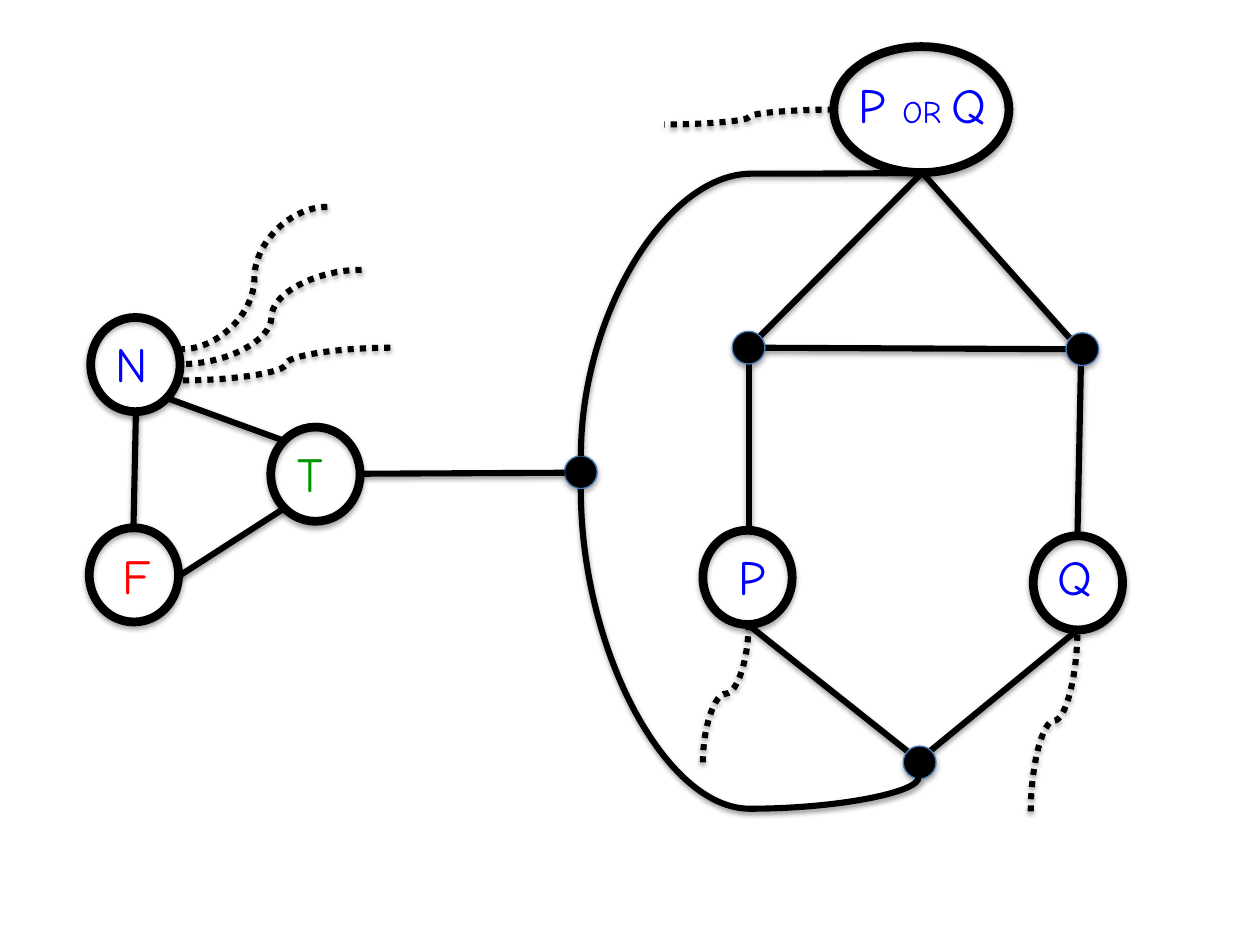
import pptx
import pptx.util
import pptx.dml.color
import pptx.enum.dml
import pptx.enum.shapes
import pptx.enum.text
import pptx.oxml.ns
from lxml import etree

Cm, Pt = pptx.util.Cm, pptx.util.Pt
LINK = pptx.enum.shapes.MSO_CONNECTOR
OVAL = pptx.enum.shapes.MSO_SHAPE.OVAL
DOTS = pptx.enum.dml.MSO_LINE.ROUND_DOT
INK, BLUE, RED, GREEN = "000000", "0000FF", "FF0000", "009600"
TEXT = {
    "word_wrap": False,
    "auto_size": pptx.enum.text.MSO_AUTO_SIZE.SHAPE_TO_FIT_TEXT,
}


def color(code):
    """Turn a hex string into a colour."""
    return pptx.dml.color.RGBColor.from_string(code)


def apply(item, values):
    """Set each attribute of an item from a dict."""
    for key, value in values.items():
        setattr(item, key, value)


def shade(shape, dist, alpha):
    """Give a shape a soft shadow straight below it."""
    tag = pptx.oxml.ns.qn
    props = shape._element.spPr
    effect = etree.SubElement(props, tag("a:effectLst"))
    outer = etree.SubElement(
        effect, tag("a:outerShdw"), blurRad=str(Pt(3.1)), dist=str(Pt(dist)),
        dir="5400000", rotWithShape="0")
    tint = etree.SubElement(outer, tag("a:srgbClr"), val=INK)
    etree.SubElement(tint, tag("a:alpha"), val=str(alpha * 1000))


def stroke(shape, code, width):
    """Set the line colour and width of a shape."""
    shape.line.color.rgb = color(code)
    shape.line.width = Pt(width)


def oval(shapes, x, y, w, h):
    """Add a bare ellipse."""
    return shapes.add_shape(OVAL, Cm(x), Cm(y), Cm(w), Cm(h))


def dot(shapes, x, y):
    """Add a small black joint."""
    shape = oval(shapes, x, y, 0.66, 0.66)
    shape.fill.solid()
    shape.fill.fore_color.rgb = color(INK)
    stroke(shape, "4B7EBC", 0.75)
    shade(shape, 1.8, 35)


def node(slide, spot, size, label, runs, code):
    """Add a ring grouped with its label, which sits relative to the ring."""
    shapes = slide.shapes.add_group_shape().shapes
    (x, y), (dx, dy, wide) = spot, label
    ring = oval(shapes, x, y, *size)
    ring.fill.background()
    stroke(ring, INK, 5)
    shade(ring, 1.8, 35)
    box = shapes.add_textbox(Cm(x + dx), Cm(y + dy), Cm(wide), Cm(1.45))
    apply(box.text_frame, TEXT)
    para = box.text_frame.paragraphs[0]
    for words, points in runs:
        run = para.add_run()
        run.text = words
        apply(run.font, {"name": "Comic Neue", "size": Pt(points)})
        run.font.color.rgb = color(code)


def edge(slide, start, end, kind=LINK.STRAIGHT):
    """Join two points with a black line."""
    line = slide.shapes.add_connector(kind, *map(Cm, start + end))
    stroke(line, INK, 3.5)
    return line


def wire(slide, start, end):
    """Add a straight edge."""
    shade(edge(slide, start, end), 1.6, 38)


def curve(slide, start, end, bend=0.5, turn=False, dash=DOTS):
    """Add a curved edge, turned when it leaves its ends vertically."""
    line = edge(slide, start, end, LINK.CURVE)
    props = line._element.spPr
    if turn:
        (ax, ay), (bx, by) = start, end
        w, h = abs(by - ay), abs(bx - ax)
        apply(line, {
            "left": Cm((ax + bx - w) / 2), "top": Cm((ay + by - h) / 2),
            "width": Cm(w), "height": Cm(h)})
        frame = props.xfrm
        frame.set("rot", "5400000")
        frame.set("flipH", str(int(by < ay)))
        frame.set("flipV", str(int(bx > ax)))
    guides = props.find(".//" + pptx.oxml.ns.qn("a:avLst"))
    etree.SubElement(guides, pptx.oxml.ns.qn("a:gd"), name="adj1",
                     fmla=f"val {round(bend * 100000)}")
    if dash:
        line.line.dash_style = dash
    shade(line, 1.6, 38)


def shift(left, top):
    """Return a function that places a point inside a box."""
    return lambda x, y: (left + x, top + y)


def base(slide, left, top):
    """Draw the triangle of N, T and F with its loose ends."""
    at = shift(left, top)
    for name, spot, label, code in (
            ("N", at(0.03, 2.23), (0.25, 0.2, 1.3), BLUE),
            ("F", at(0, 6.47), (0.43, 0.23, 1.12), RED),
            ("T", at(3.66, 4.44), (0.28, 0.2, 1.22), GREEN)):
        node(slide, spot, (1.8, 1.9), label, [(name, 28)], code)
    wire(slide, at(0.89, 6.47), at(0.94, 4.14))
    wire(slide, at(1.81, 7.44), at(3.94, 6.07))
    wire(slide, at(1.58, 3.86), at(3.94, 4.72))
    for x, y, drop in ((4.8, 0, 2.87), (5.49, 1.27, 3.17), (6.07, 2.84, 3.5)):
        curve(slide, at(x, y), at(1.86, drop))


def gate(slide, left, top):
    """Draw the OR gadget with its joints, inputs and loose ends."""
    at = shift(left, top)
    apex, foot, tail = at(7.21, 2.54), at(3.71, 11.66), at(10.34, 11.76)
    for start, end in (
            (at(4.01, 6.07), at(10.11, 6.1)),
            (apex, at(3.94, 5.84)),
            (apex, at(10.18, 5.87)),
            (at(3.71, 6.4), at(3.71, 9.75)),
            (at(10.41, 6.4), at(10.34, 9.86)),
            (foot, at(6.91, 14.2)),
            (tail, at(7.37, 14.2))):
        wire(slide, start, end)
    for x, y in ((10.11, 5.77), (6.83, 14.1), (3.38, 5.74), (0, 8.25)):
        dot(slide.shapes, *at(x, y))
    node(slide, at(5.43, 0), (3.53, 2.54), (0.25, 0.43, 3.23),
         [("P ", 28), ("OR ", 18), ("Q", 28)], BLUE)
    node(slide, at(2.79, 9.75), (1.8, 1.9), (0.46, 0.2, 1.04),
         [("P", 28)], BLUE)
    node(slide, at(9.45, 9.86), (1.8, 1.9), (0.23, 0.1, 1.4),
         [("Q", 28)], BLUE)
    curve(slide, apex, at(0.33, 8.25), 0.004, True, None)
    curve(slide, at(7.14, 14.73), at(0.33, 8.92), -0.109, True, None)
    curve(slide, at(5.43, 1.27), at(2.01, 1.57))
    curve(slide, at(2.79, 14.43), foot, turn=True)
    curve(slide, at(9.4, 15.42), tail, turn=True)


def main():
    """Build and save the slide."""
    deck = pptx.Presentation()
    apply(deck, {"slide_width": Cm(25.4), "slide_height": Cm(19.05)})
    slide = deck.slides.add_slide(deck.slide_layouts[6])
    gate(slide, 11.38, 0.94)
    base(slide, 1.8, 4.17)
    wire(slide, (7.29, 9.55), (11.38, 9.53))
    deck.save("out.pptx")


if __name__ == "__main__":
    main()
